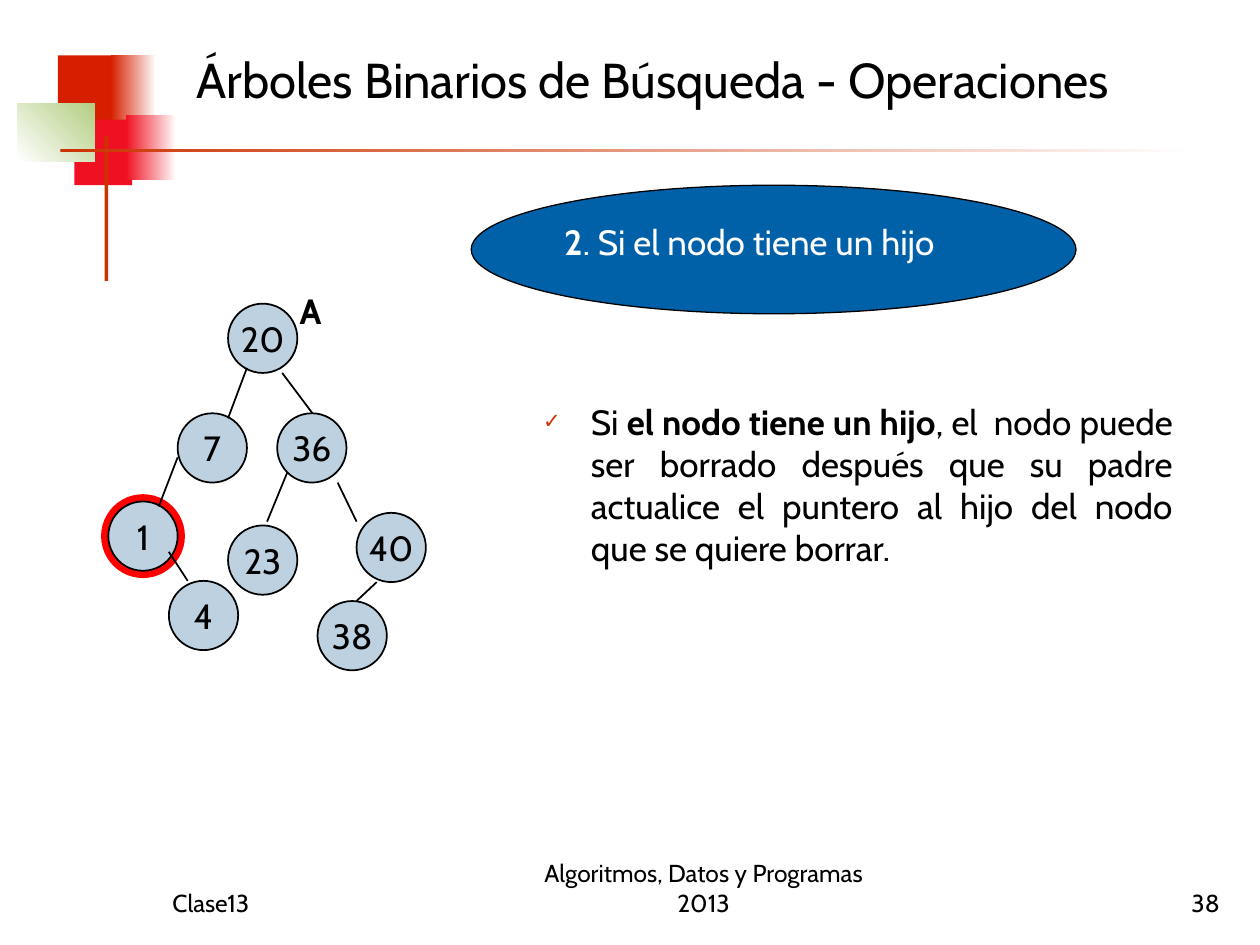
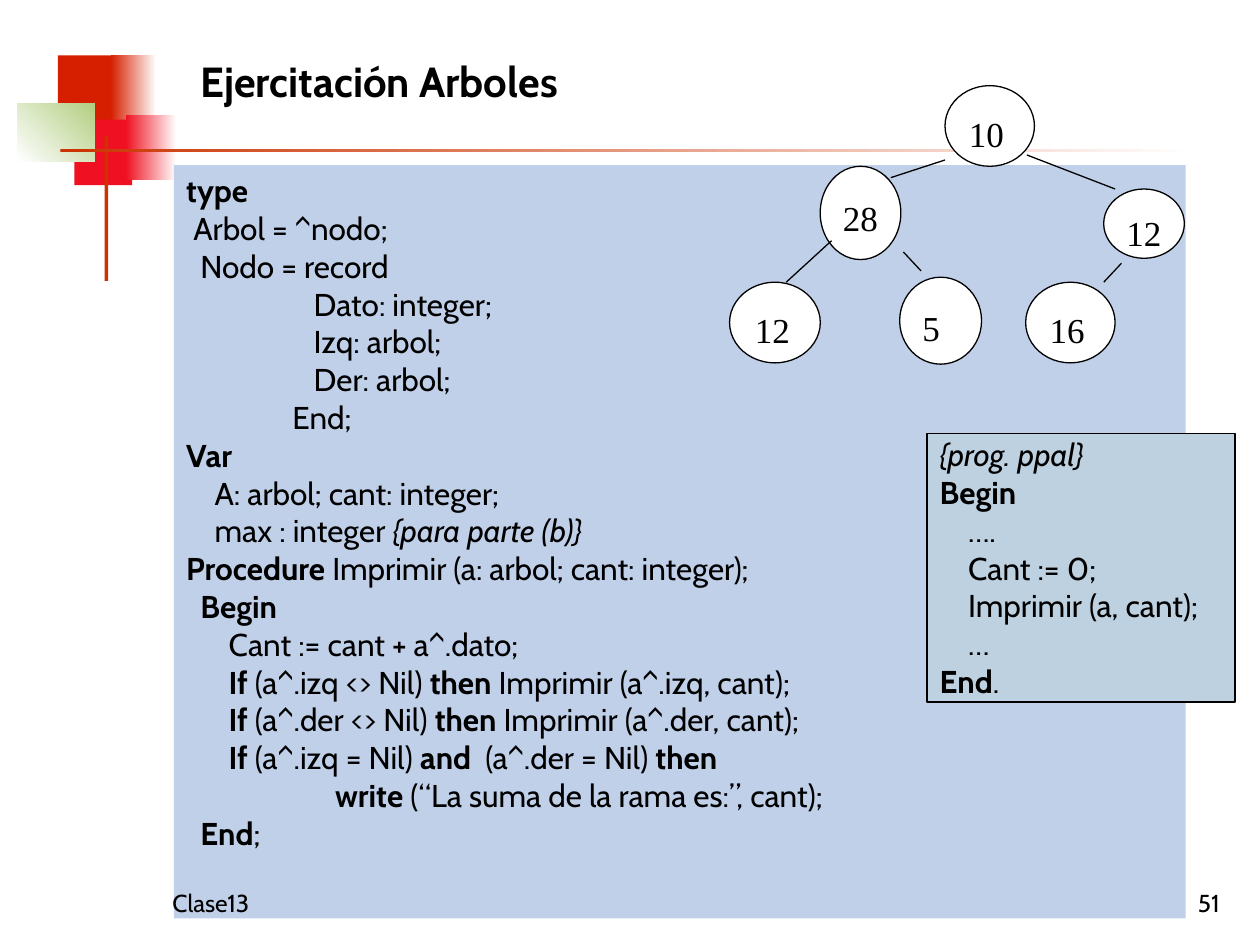
"""Builds two class slides about binary search trees."""
from lxml import etree
from pptx import Presentation
from pptx.dml.color import RGBColor
from pptx.enum import shapes, text
from pptx.oxml.ns import qn
from pptx.util import Pt

PX = 9144  # EMU; 100 px to the inch
BODY_FONT = "Cabin"
TREE_FONT = "Times New Roman"
BLACK = RGBColor(0x00, 0x00, 0x00)
WHITE = RGBColor(0xFF, 0xFF, 0xFF)
RED = RGBColor(0xFF, 0x00, 0x00)
BRICK = RGBColor(0xD6, 0x1F, 0x00)
CRIMSON = RGBColor(0xEF, 0x11, 0x21)
GREEN = RGBColor(0xB3, 0xCE, 0x82)
RUST = RGBColor(0xCC, 0x33, 0x00)
BLUE = RGBColor(0x00, 0x60, 0xA8)
PALE_BLUE = RGBColor(0xBE, 0xD1, 0xE0)
CODE_BLUE = RGBColor(0xC1, 0xD0, 0xE9)

RECT = shapes.MSO_SHAPE.RECTANGLE
OVAL = shapes.MSO_SHAPE.OVAL
ALIGN = text.PP_ALIGN
ANCHOR = text.MSO_ANCHOR

BAND = [
    ((46, 44, 48, 52), BRICK, None, 0),
    ((88, 44, 36, 52), BRICK, WHITE, 0),
    ((59, 95, 46, 52), CRIMSON, None, 0),
    ((100, 91, 40, 52), CRIMSON, WHITE, 0),
    ((14, 82, 61, 46), WHITE, GREEN, 45),
    ((83, 108, 3, 115), RUST, None, 0),
    ((48, 118, 900, 3), RUST, WHITE, 0),
]

NODE_SIZE = 55
SEARCH_NODES = [
    ("20", 181, 241), ("7", 141, 328), ("36", 220, 328), ("1", 86, 398),
    ("4", 134, 461), ("23", 181, 417), ("40", 283, 407), ("38", 252, 477),
]
SEARCH_EDGES = [
    (196, 292, 181, 332), (224, 296, 248, 328), (141, 363, 126, 402),
    (134, 438, 149, 461), (228, 375, 212, 414), (268, 383, 283, 414),
    (299, 462, 283, 477),
]

EXERCISE_NODES = [
    ("10", (750, 68, 71, 64)), ("28", (651, 132, 64, 74)),
    ("12", (876, 150, 64, 55)), ("5", (714, 220, 65, 69)),
    ("16", (814, 224, 71, 64)), ("12", (579, 224, 72, 64)),
]
EXERCISE_EDGES = [
    (750, 127, 707, 141), (815, 123, 885, 150), (660, 191, 624, 224),
    (717, 200, 731, 215), (890, 209, 876, 224),
]

PROCEDURE_CODE = """*type*
 Arbol = ^nodo;
  Nodo = record
                  Dato: integer;
                  Izq: arbol;
                  Der: arbol;
               End;
*Var*
    A: arbol; cant: integer;
    max : integer *{para parte (b)}*
*Procedure* Imprimir (a: arbol; cant: integer);
  *Begin*
      Cant := cant + a^.dato;
      *If* (a^.izq <> Nil) *then* Imprimir (a^.izq, cant);
      *If* (a^.der <> Nil) *then* Imprimir (a^.der, cant);
      *If* (a^.izq = Nil) *and*  (a^.der = Nil) *then*
                     *write* (“La suma de la rama es:”, cant);
  *End*;"""

MAIN_CODE = """*{prog. ppal}*
*Begin*
    ….
    Cant := 0;
    Imprimir (a, cant);
    …
*End*."""


def px(*lengths):
    """Turn px lengths into EMU."""
    return [length * PX for length in lengths]


def write(frame, content, size, color=BLACK, font=BODY_FONT,
          align=ALIGN.LEFT, anchor=ANCHOR.TOP, wrap=True):
    """Write lines whose *marked* parts are bold, or italic for {comments}."""
    frame.word_wrap = wrap
    frame.auto_size = text.MSO_AUTO_SIZE.NONE
    frame.vertical_anchor = anchor
    for number, line in enumerate(content.split("\n")):
        paragraph = frame.add_paragraph() if number else frame.paragraphs[0]
        paragraph.alignment = align
        paragraph.space_before = Pt(0)
        paragraph.font.size = Pt(size)
        paragraph.font.name = font
        paragraph.font.color.rgb = color
        for position, part in enumerate(line.split("*")):
            if part:
                run = paragraph.add_run()
                run.text = part
                if position % 2:
                    if part.startswith("{"):
                        run.font.italic = True
                    else:
                        run.font.bold = True


def add_figure(slide, preset, box, fill, fade=None, angle=0, line=None, width=1):
    """Add a preset shape with a plain or fading fill and an optional outline."""
    figure = slide.shapes.add_shape(preset, *px(*box))
    figure.shadow.inherit = False
    if fade is None:
        figure.fill.solid()
        figure.fill.fore_color.rgb = fill
    else:
        figure.fill.gradient()
        figure.fill.gradient_angle = angle
        for stop, color in zip(figure.fill.gradient_stops, (fill, fade)):
            stop.color.rgb = color
    if line is None:
        figure.line.fill.background()
    else:
        figure.line.color.rgb = line
        figure.line.width = Pt(width)
    return figure


def add_label(slide, box, content, size, **style):
    """Add a text box."""
    label = slide.shapes.add_textbox(*px(*box))
    write(label.text_frame, content, size, **style)
    return label


def add_edges(slide, edges, width):
    """Draw the branches of a tree."""
    for ends in edges:
        edge = slide.shapes.add_connector(shapes.MSO_CONNECTOR.STRAIGHT, *px(*ends))
        edge.line.color.rgb = BLACK
        edge.line.width = Pt(width)
        etree.SubElement(edge._element.spPr, qn("a:effectLst"))


def place(holder, box):
    """Move a placeholder."""
    holder.left, holder.top, holder.width, holder.height = px(*box)


def add_check_bullet(paragraph):
    """Give a paragraph a hanging check mark."""
    properties = paragraph._p.get_or_add_pPr()
    properties.set("marL", str(38 * PX))
    properties.set("indent", str(-38 * PX))
    color = etree.SubElement(properties, qn("a:buClr"))
    etree.SubElement(color, qn("a:srgbClr"), val=str(RUST))
    etree.SubElement(properties, qn("a:buSzPct"), val="60000")
    etree.SubElement(properties, qn("a:buChar"), char="✓")


def start_slide(deck, layout, title, box, size, number):
    """Add a slide with its band, title, class name and number."""
    slide = deck.slides.add_slide(deck.slide_layouts[layout])
    for piece in BAND:
        add_figure(slide, RECT, *piece)
    place(slide.shapes.title, box)
    write(slide.shapes.title.text_frame, title, size, anchor=ANCHOR.MIDDLE)
    return slide


def add_footer(slide, number):
    """Add the class name and the slide number."""
    add_label(slide, (127, 683, 208, 50), "Clase13", 14, anchor=ANCHOR.BOTTOM)
    add_label(slide, (770, 683, 208, 50), number, 14,
              align=ALIGN.RIGHT, anchor=ANCHOR.BOTTOM)


def add_search_tree(slide):
    """Draw the search tree with the node to delete ringed."""
    add_figure(slide, OVAL, (83, 395, 61, 61), PALE_BLUE, line=RED, width=4)
    for value, left, top in SEARCH_NODES:
        node = add_figure(slide, OVAL, (left, top, NODE_SIZE, NODE_SIZE),
                          PALE_BLUE, line=BLACK)
        write(node.text_frame, value, 20, align=ALIGN.CENTER,
              anchor=ANCHOR.MIDDLE, wrap=False)
    add_edges(slide, SEARCH_EDGES, 1)
    add_label(slide, (228, 225, 39, 44), "*A*", 20)


def add_exercise_tree(slide):
    """Draw the exercise tree, each value set low in its node."""
    for value, (left, top, width, height) in EXERCISE_NODES:
        add_figure(slide, OVAL, (left, top, width, height), WHITE,
                   line=BLACK, width=0.75)
        box = (left + width // 4, top + height // 3, width, height * 2 // 3)
        frame = add_label(slide, box, value, 20, font=TREE_FONT).text_frame
        frame.margin_left = frame.margin_right = 2 * PX
        frame.margin_top = frame.margin_bottom = 0
    add_edges(slide, EXERCISE_EDGES, 0.75)


def add_deletion_slide(deck):
    """Explain how to delete a node with one child."""
    slide = start_slide(deck, 1, "Árboles Binarios de Búsqueda - Operaciones",
                        (146, 13, 811, 100), 28, "38")
    rule = slide.placeholders[1]
    place(rule, (421, 313, 520, 180))
    add_check_bullet(rule.text_frame.paragraphs[0])
    write(rule.text_frame,
          "Si *el nodo tiene un hijo*, el  nodo puede ser borrado después que su "
          "padre actualice el puntero al hijo del nodo que se quiere borrar.",
          20, align=ALIGN.JUSTIFY)
    add_search_tree(slide)
    add_figure(slide, OVAL, (374, 147, 480, 102), BLUE, line=BLACK, width=0.75)
    add_label(slide, (438, 170, 400, 44), "*2*. Si el nodo tiene un hijo", 20,
              color=WHITE)
    add_label(slide, (400, 683, 317, 50), "Algoritmos, Datos y Programas 2013", 14,
              align=ALIGN.CENTER, anchor=ANCHOR.BOTTOM)
    add_footer(slide, "38")


def add_exercise_slide(deck):
    """Show the exercise code beside its tree."""
    slide = start_slide(deck, 5, "*Ejercitación Arboles*", (149, 13, 398, 102), 24, "51")
    procedure = add_figure(slide, RECT, (138, 131, 803, 598), CODE_BLUE)
    write(procedure.text_frame, PROCEDURE_CODE, 18)
    program = add_figure(slide, RECT, (736, 344, 244, 213), PALE_BLUE, line=BLACK)
    write(program.text_frame, MAIN_CODE, 18, anchor=ANCHOR.MIDDLE)
    add_exercise_tree(slide)
    add_footer(slide, "51")


def main():
    """Build and save the deck."""
    deck = Presentation()
    deck.slide_width, deck.slide_height = px(1000, 750)
    add_deletion_slide(deck)
    add_exercise_slide(deck)
    deck.save("out.pptx")


if __name__ == "__main__":
    main()
